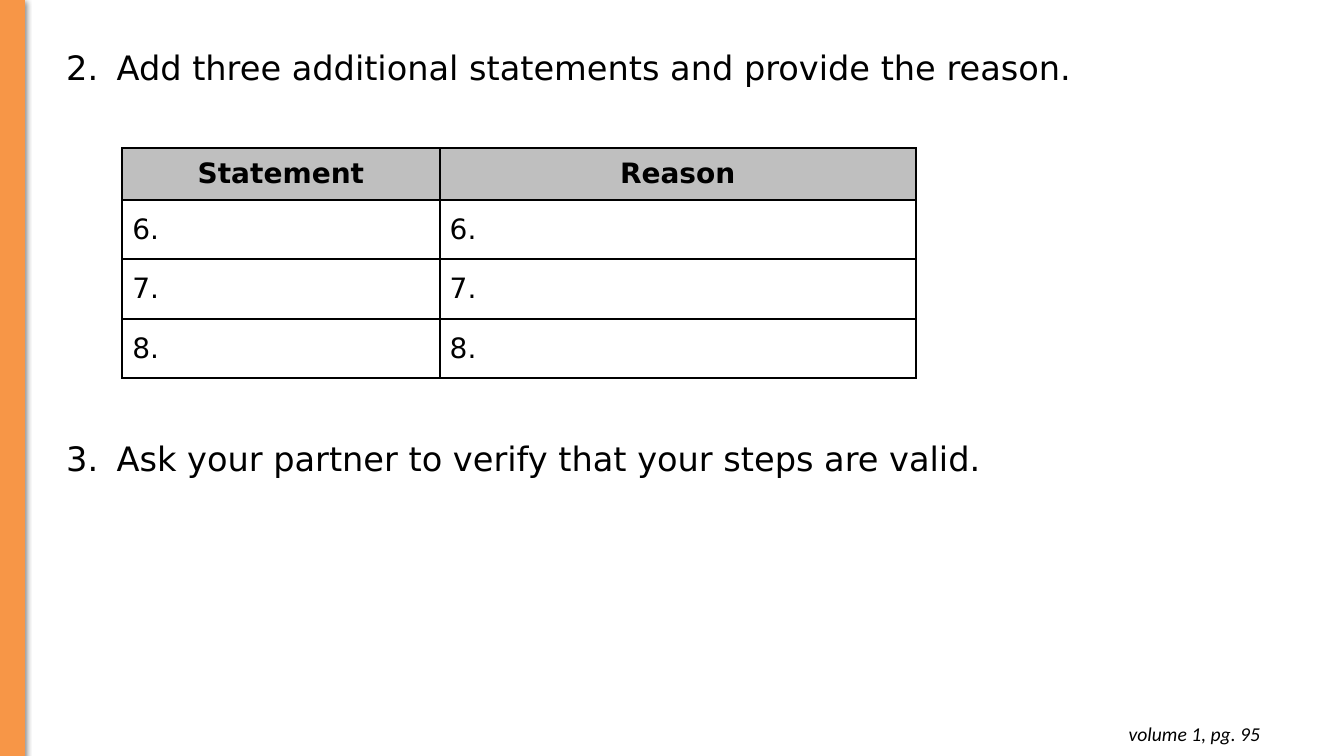
from pptx import Presentation
from pptx.dml.color import RGBColor
from pptx.enum.shapes import MSO_SHAPE as Shape
from pptx.enum.text import MSO_ANCHOR as Anchor, MSO_AUTO_SIZE as Fit, PP_ALIGN as Align
from pptx.oxml import parse_xml
from pptx.oxml.ns import nsdecls
from pptx.util import Cm, Pt

# Content
STEPS = [
    (2, "Add three additional statements and provide the reason.", 1.07, 27.13),
    (3, "Ask your partner to verify that your steps are valid.", 10.9, 29.21),
]
HEADS = ["Statement", "Reason"]
LINES = ["6.", "7.", "8."]
PAGE = "volume 1, pg. 95"

# Formats; lengths in cm
BLACK, WHITE, GREY, ORANGE = "000000", "FFFFFF", "BFBFBF", "F79647"
STEP = {"name": "DejaVu Sans", "size": Pt(24)}
HEAD = {"name": "DejaVu Sans", "size": Pt(20), "bold": True}
BODY = {**HEAD, "bold": False}
NOTE = {"name": "Calibri", "size": Pt(14), "italic": True}
WIDTHS = [8, 12]
HEIGHTS = [1.3] + [1.5] * len(LINES)


def color(value):
    return RGBColor.from_string(value)


def xml(text):
    return parse_xml(text.replace(">", f" {nsdecls('a')}>", 1))


def write(par, text, style, align=Align.LEFT):
    par.text = text
    par.alignment = align
    font = par.runs[0].font
    for key, value in style.items():
        setattr(font, key, value)
    font.color.rgb = color(BLACK)


def add_text(left, top, width, height):
    frame = slide.shapes.add_textbox(Cm(left), Cm(top), Cm(width), Cm(height)).text_frame
    frame.word_wrap = True
    frame.auto_size = Fit.SHAPE_TO_FIT_TEXT
    return frame


def number(par, start):
    props = par._p.get_or_add_pPr()
    props.set("marL", str(Cm(1.27)))
    props.set("indent", str(-Cm(1.27)))
    props.append(xml(f'<a:buClr><a:srgbClr val="{BLACK}"/></a:buClr>'))
    props.append(xml('<a:buFont typeface="+mj-lt"></a:buFont>'))
    props.append(xml(f'<a:buAutoNum type="arabicPeriod" startAt="{start}"></a:buAutoNum>'))


def border(cell):
    props = cell._tc.get_or_add_tcPr()
    for side in "LRTB":
        props.append(xml(
            f'<a:ln{side} w="{Pt(1.5)}"><a:solidFill><a:srgbClr val="{BLACK}"/>'
            f'</a:solidFill></a:ln{side}>'))


deck = Presentation()
deck.slide_width, deck.slide_height = Cm(33.87), Cm(19.05)
slide = deck.slides.add_slide(deck.slide_layouts[6])

# Side bar with soft shadow
bar = slide.shapes.add_shape(Shape.RECTANGLE, 0, 0, Cm(0.62), Cm(19.07))
bar.fill.solid()
bar.fill.fore_color.rgb = bar.line.color.rgb = color(ORANGE)
bar.line.width = Pt(0.75)
bar._element.spPr.append(xml(
    f'<a:effectLst><a:outerShdw blurRad="{Pt(4.5)}" dist="{Pt(1.5)}" dir="5400000" '
    f'rotWithShape="0"><a:srgbClr val="{BLACK}"><a:alpha val="50000"/></a:srgbClr>'
    '</a:outerShdw></a:effectLst>'))

# Numbered steps
for start, text, top, width in STEPS:
    par = add_text(1.42, top, width, 1.28).paragraphs[0]
    number(par, start)
    write(par, text, STEP)

# Proof table
rows = [HEADS] + [[line] * len(HEADS) for line in LINES]
table = slide.shapes.add_table(len(rows), len(HEADS), Cm(3.08), Cm(3.73),
                               Cm(sum(WIDTHS)), Cm(sum(HEIGHTS))).table
table.first_row = table.horz_banding = False
for col, width in zip(table.columns, WIDTHS):
    col.width = Cm(width)
for r, row in enumerate(rows):
    table.rows[r].height = Cm(HEIGHTS[r])
    fill, style, align = (BODY and (WHITE, BODY, Align.LEFT)) if r else (GREY, HEAD, Align.CENTER)
    for c, text in enumerate(row):
        cell = table.cell(r, c)
        border(cell)
        cell.fill.solid()
        cell.fill.fore_color.rgb = color(fill)
        cell.vertical_anchor = Anchor.MIDDLE
        write(cell.text_frame.paragraphs[0], text, style, align)

# Page reference
frame = add_text(24.69, 17.93, 7.32, 1.12)
for side in ("left", "right", "top", "bottom"):
    setattr(frame, f"margin_{side}", Cm(0.25))
write(frame.paragraphs[0], PAGE, NOTE, Align.RIGHT)

deck.save("out.pptx")
